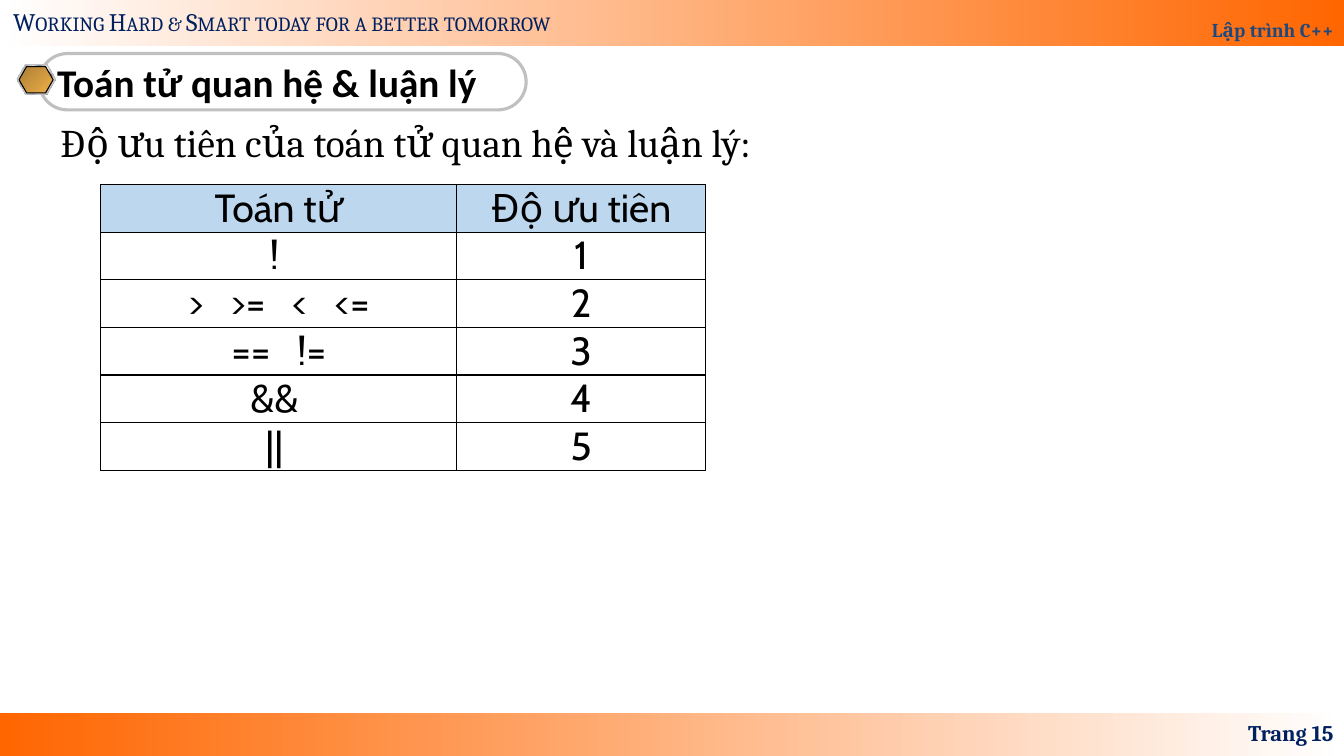
from lxml import etree
from pptx import Presentation
from pptx.dml.color import RGBColor
from pptx.enum.shapes import MSO_SHAPE
from pptx.enum.text import MSO_ANCHOR, MSO_AUTO_SIZE, PP_ALIGN
from pptx.oxml.ns import qn
from pptx.util import Cm, Pt

RECT, PILL, HEXAGON = MSO_SHAPE.RECTANGLE, MSO_SHAPE.ROUNDED_RECTANGLE, MSO_SHAPE.HEXAGON
TOP, MIDDLE, BOTTOM = MSO_ANCHOR.TOP, MSO_ANCHOR.MIDDLE, MSO_ANCHOR.BOTTOM
LEFT, CENTER, RIGHT = PP_ALIGN.LEFT, PP_ALIGN.CENTER, PP_ALIGN.RIGHT
NO_AUTOFIT = MSO_AUTO_SIZE.NONE

WHITE, ORANGE, NAVY, BLACK, SILVER = "FFFFFF", "FF6600", "002060", "000000", "C0C0C0"
STEEL = [(0, "E6E6E6"), (7, "7D8496"), (26, "E6E6E6"), (34, "7D8496"),
         (46, "E6E6E6"), (50, WHITE), (54, "E6E6E6"), (66, "7D8496"),
         (74, "E6E6E6"), (93, "7D8496"), (100, "E6E6E6")]
GOLD = [(0, "AB7E34"), (100, "EFB049")]
PRECEDENCE = [("Toán tử", "Độ ưu tiên"), ("! ", "1"), (">   >=   <   <=", "2"),
              ("==   !=", "3"), ("&& ", "4"), ("|| ", "5")]


def rgb(value):
    """Turn a hex string into a colour."""
    return RGBColor.from_string(value)


def write(tf, text, size=28, font="Cambria", color=BLACK, bold=False, align=LEFT,
          anchor=TOP, spacing=1.0, wrap=True, small_caps=False):
    """Write one formatted paragraph into a text frame."""
    tf.word_wrap = wrap
    tf.vertical_anchor = anchor
    p = tf.paragraphs[0]
    p.alignment = align
    p.line_spacing = spacing
    p.space_before = Pt(0)
    r = p.add_run()
    r.text = text
    r.font.size, r.font.name, r.font.bold = Pt(size), font, bold
    r.font.color.rgb = rgb(color)
    if small_caps:
        r.font._element.set("cap", "small")


def fill_gradient(s, stops, angle):
    """Fill a shape with a linear gradient of (percent, colour) stops."""
    s.fill.gradient()
    s.fill.gradient_angle = -angle
    stop_list = s._element.spPr.find(".//" + qn("a:gsLst"))
    for old in list(stop_list):
        stop_list.remove(old)
    for percent, color in stops:
        stop = etree.SubElement(stop_list, qn("a:gs"), pos=str(percent * 1000))
        etree.SubElement(stop, qn("a:srgbClr"), val=color)


def add_shape(slide, kind, box, fill=None, angle=0, line=None, width=0.75, adjust=()):
    """Add a preset shape with a plain, gradient or empty fill."""
    s = slide.shapes.add_shape(kind, *map(Cm, box))
    s.shadow.inherit = False
    for i, value in enumerate(adjust):
        s.adjustments[i] = value
    if fill is None:
        s.fill.background()
    elif isinstance(fill, str):
        s.fill.solid()
        s.fill.fore_color.rgb = rgb(fill)
    else:
        fill_gradient(s, fill, angle)
    if line:
        s.line.color.rgb = rgb(line)
        s.line.width = Pt(width)
    else:
        s.line.fill.background()
    return s


def add_text(slide, box, text, **fmt):
    """Add a text box."""
    s = slide.shapes.add_textbox(*map(Cm, box))
    write(s.text_frame, text, **fmt)


def place(s, box, text, **fmt):
    """Move a placeholder and write unbulleted text into it."""
    s.left, s.top, s.width, s.height = map(Cm, box)
    s.text_frame.auto_size = NO_AUTOFIT
    pPr = s.text_frame.paragraphs[0]._p.get_or_add_pPr()
    pPr.set("marL", "0")
    pPr.set("indent", "0")
    etree.SubElement(pPr, qn("a:buNone"))
    write(s.text_frame, text, **fmt)


def add_borders(cell, color=BLACK, width=1):
    """Draw a line on all four sides of a cell."""
    tcPr = cell._tc.get_or_add_tcPr()
    for side in ("lnL", "lnR", "lnT", "lnB"):
        ln = etree.SubElement(tcPr, qn("a:" + side), w=str(Pt(width)))
        solid = etree.SubElement(ln, qn("a:solidFill"))
        etree.SubElement(solid, qn("a:srgbClr"), val=color)


def add_precedence_table(slide, left, top, widths, row_height):
    """Add the operator precedence table."""
    height = row_height * len(PRECEDENCE)
    table = slide.shapes.add_table(len(PRECEDENCE), len(widths), Cm(left), Cm(top),
                                   Cm(sum(widths)), Cm(height)).table
    for column, width in zip(table.columns, widths):
        column.width = Cm(width)
    for i, row in enumerate(PRECEDENCE):
        table.rows[i].height = Cm(row_height)
        for j, text in enumerate(row):
            cell = table.cell(i, j)
            cell.margin_left = cell.margin_right = Cm(0.18)
            cell.margin_top = cell.margin_bottom = 0
            add_borders(cell)
            if i == 0:
                cell.fill.solid()
                cell.fill.fore_color.rgb = rgb("BDD7EE")
            else:
                cell.fill.background()
            write(cell.text_frame, text, font="Cabin", align=CENTER)


def add_bands(slide):
    """Add the header and footer bands with their texts."""
    add_shape(slide, RECT, (0, 17.96, 33.87, 1.09), [(0, ORANGE), (100, WHITE)])
    header = add_shape(slide, RECT, (0, 0, 33.87, 1.17), [(0, WHITE), (100, ORANGE)])
    write(header.text_frame, "Lập trình C++", size=14, color="1F497D", bold=True,
          align=RIGHT, anchor=BOTTOM, spacing=1.8)
    add_text(slide, (0.08, 0.03, 14.99, 1.02),
             "Working Hard & Smart today for a better tomorrow",
             size=18, color=NAVY, wrap=False, small_caps=True)
    add_text(slide, (25.96, 17.96, 7.9, 1.02), "Trang 15", size=16, color=NAVY,
             bold=True, align=RIGHT, anchor=MIDDLE)


def add_title(slide):
    """Add the title with its outline and hexagonal badge."""
    title = slide.shapes.title
    tf = title.text_frame
    tf.margin_left = tf.margin_right = tf.margin_top = tf.margin_bottom = 0
    place(title, (1.44, 1.35, 11.6, 1.42), "Toán tử quan hệ & luận lý",
          font="Calibri", bold=True, anchor=MIDDLE, wrap=False)
    add_shape(slide, PILL, (0.99, 1.35, 12.27, 1.42), line=SILVER, width=2.25, adjust=[0.5])
    for box, fill, line in [((0.43, 1.65, 0.97, 0.74), "808080", None),
                            ((0.43, 1.63, 0.97, 0.74), STEEL, SILVER),
                            ((0.48, 1.68, 0.86, 0.66), GOLD, BLACK)]:
        add_shape(slide, HEXAGON, box, fill, angle=45, line=line, adjust=[0.289, 1.155])


def main():
    """Build and save the slide."""
    prs = Presentation()
    prs.slide_width, prs.slide_height = Cm(33.87), Cm(19.05)
    slide = prs.slides.add_slide(prs.slide_layouts[1])
    add_bands(slide)
    add_title(slide)
    place(slide.placeholders[1], (1.27, 3, 31.75, 14.58),
          "Độ ưu tiên của toán tử quan hệ và luận lý:", spacing=0.9)
    add_precedence_table(slide, 2.54, 4.65, (8.97, 6.27), 1.2)
    prs.save("out.pptx")


if __name__ == "__main__":
    main()
